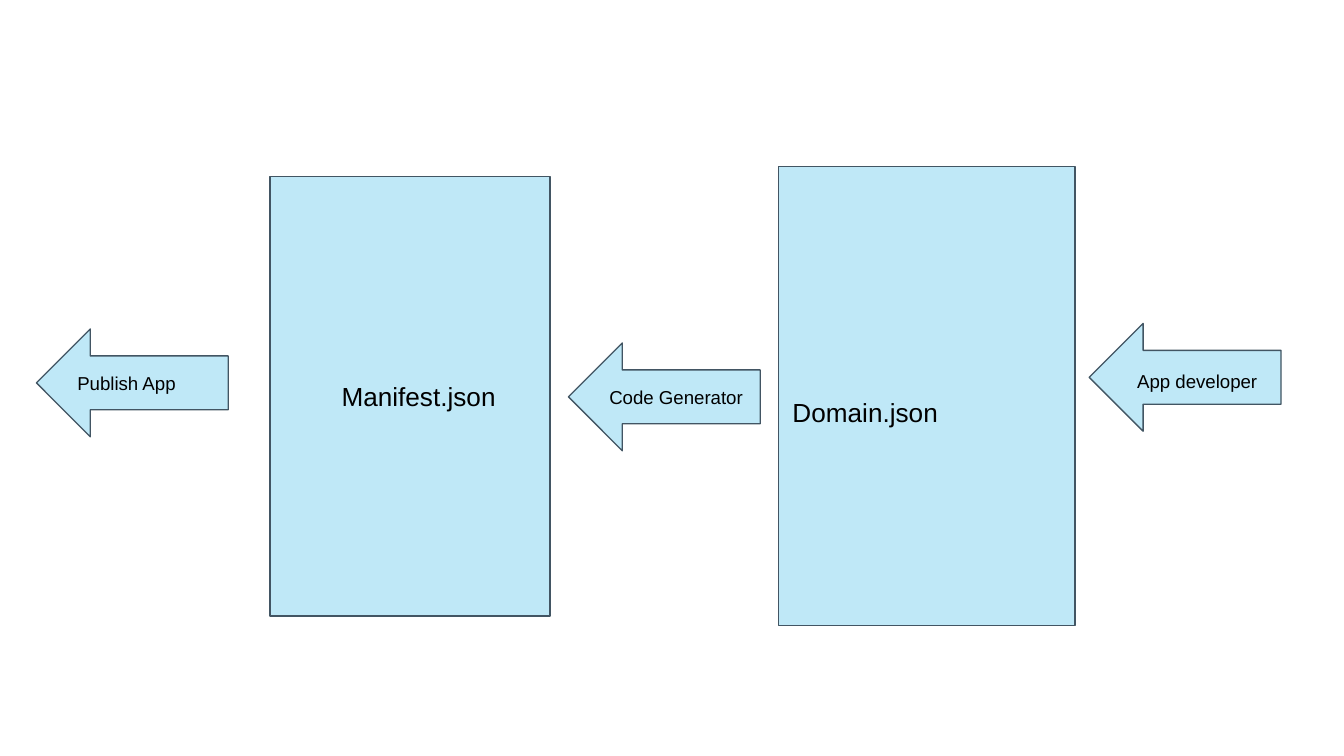
from pptx import Presentation
from pptx.dml.color import RGBColor
from pptx.enum.shapes import MSO_SHAPE
from pptx.enum.text import MSO_ANCHOR, PP_ALIGN
from pptx.util import Pt

PX = 9525
COLORS = {"fill": "BFE8F7", "line": "425563", "text": "000000"}
INSET = 10


class FlowSlide:
    """Holds the style and the current slide of the flow diagram."""

    def __init__(self, prs):
        self.s = prs.slides.add_slide(prs.slide_layouts[6])

    def color(self, name):
        return RGBColor.from_string(COLORS[name])

    def shape(self, kind, box, text, size, indent=0, drop=0):
        sp = self.s.shapes.add_shape(kind, *(v * PX for v in box))
        sp.shadow.inherit = False
        sp.fill.solid()
        sp.fill.fore_color.rgb = self.color("fill")
        sp.line.color.rgb = self.color("line")
        sp.line.width = Pt(0.75)
        tf = sp.text_frame
        frame = {
            "word_wrap": True,
            "vertical_anchor": MSO_ANCHOR.MIDDLE,
            "margin_left": (INSET + indent) * PX,
            "margin_top": (INSET + drop) * PX,
            "margin_right": INSET * PX,
            "margin_bottom": INSET * PX,
        }
        for name, value in frame.items():
            setattr(tf, name, value)
        p = tf.paragraphs[0]
        p.alignment = PP_ALIGN.LEFT
        r = p.add_run()
        r.text = text
        for name, value in {"name": "Arial", "size": Pt(size)}.items():
            setattr(r.font, name, value)
        r.font.color.rgb = self.color("text")

    def file_box(self, box, text, indent=0, drop=0):
        self.shape(MSO_SHAPE.RECTANGLE, box, text, 14, indent, drop)

    def step_arrow(self, left, top, text, indent=0, drop=0):
        self.shape(MSO_SHAPE.LEFT_ARROW, (left, top, 137, 77), text, 10, indent, drop)


def main():
    prs = Presentation()
    prs.slide_width, prs.slide_height = 960 * PX, 540 * PX
    flow = FlowSlide(prs)
    flow.file_box((556, 119, 212, 328), "Domain.json", drop=22)
    flow.file_box((193, 126, 200, 314), "Manifest.json", indent=41)
    flow.step_arrow(778, 231, "App developer", indent=5, drop=5)
    flow.step_arrow(26, 235, "Publish App")
    flow.step_arrow(406, 245, "Code Generator")
    prs.save("out.pptx")


if __name__ == "__main__":
    main()
